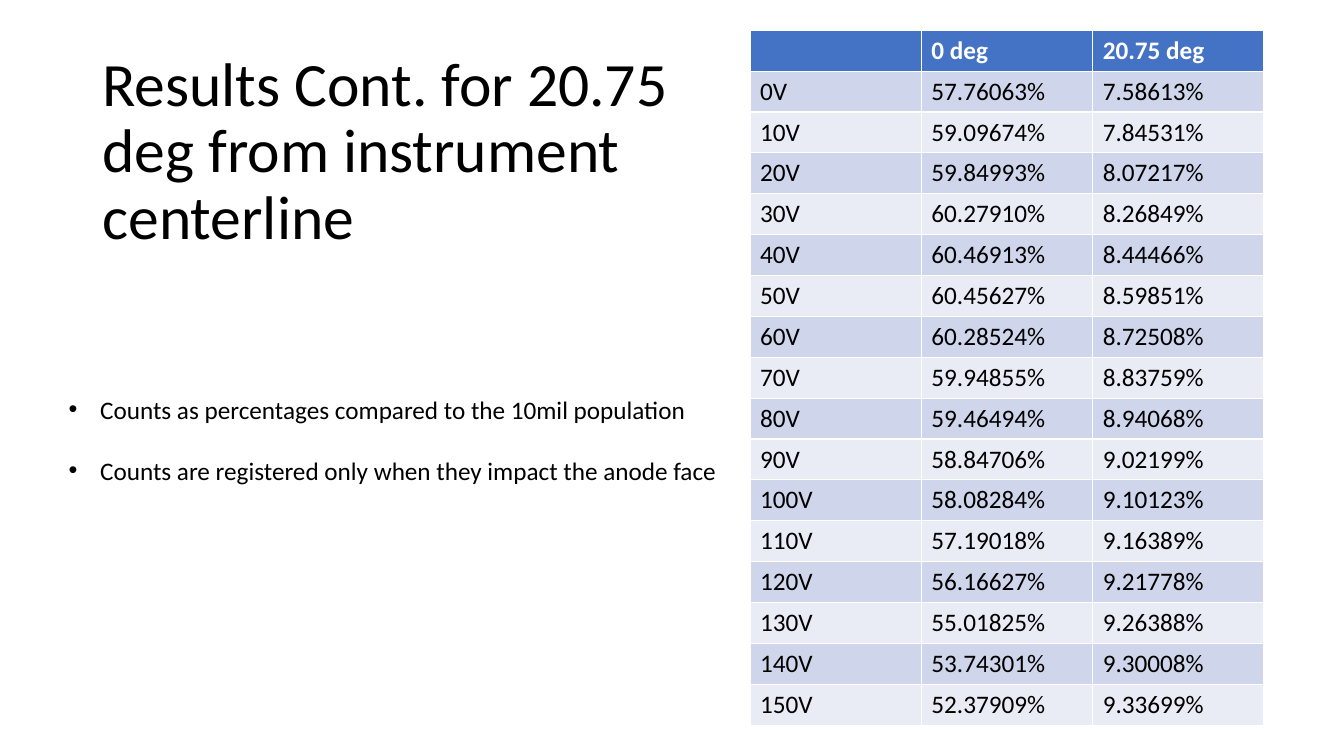
from pptx import Presentation
from pptx.dml.color import RGBColor
from pptx.enum.text import MSO_ANCHOR, MSO_AUTO_SIZE, PP_ALIGN
from pptx.util import Pt

LEFT = PP_ALIGN.LEFT
TOP, MIDDLE = MSO_ANCHOR.TOP, MSO_ANCHOR.MIDDLE
NO_AUTOFIT = MSO_AUTO_SIZE.NONE

BLACK = RGBColor(0x00, 0x00, 0x00)
WHITE = RGBColor(0xFF, 0xFF, 0xFF)
HEADER_BLUE = RGBColor(0x44, 0x72, 0xC4)
BANDS = (RGBColor(0xCF, 0xD5, 0xEA), RGBColor(0xE9, 0xEB, 0xF5))

TITLE_BOX = (66, 28.8, 423.6, 160.5)
NOTES_BOX = (41.8, 277.9, 483, 72.7)
TABLE_BOX = (535.7, 21.6, 367.2, 496.1)

TITLE = "Results Cont. for 20.75 deg from instrument centerline"
NOTES = (
    "Counts as percentages compared to the 10mil population",
    "Counts are registered only when they impact the anode face",
)
HEADER = ("", "0 deg", "20.75 deg")
VOLTAGE_STEP = 10
PERCENTAGES = (
    (57.76063, 7.58613), (59.09674, 7.84531), (59.84993, 8.07217),
    (60.27910, 8.26849), (60.46913, 8.44466), (60.45627, 8.59851),
    (60.28524, 8.72508), (59.94855, 8.83759), (59.46494, 8.94068),
    (58.84706, 9.02199), (58.08284, 9.10123), (57.19018, 9.16389),
    (56.16627, 9.21778), (55.01825, 9.26388), (53.74301, 9.30008),
    (52.37909, 9.33699),
)


def set_attributes(target, values):
    for name, value in values.items():
        setattr(target, name, value)


def format_font(font, size, color=BLACK, bold=False):
    set_attributes(font, {"name": "Calibri", "size": Pt(size), "bold": bold})
    font.color.rgb = color


def place(shape, box, anchor):
    """Move a placeholder to a box in points and fix its text frame."""
    lengths = map(Pt, box)
    set_attributes(shape, dict(zip(("left", "top", "width", "height"), lengths)))
    set_attributes(shape.text_frame, {
        "word_wrap": True, "auto_size": NO_AUTOFIT, "vertical_anchor": anchor,
    })


def add_title(slide, box):
    title = slide.shapes.title
    place(title, box, MIDDLE)
    title.text_frame.text = TITLE
    paragraph = title.text_frame.paragraphs[0]
    set_attributes(paragraph, {"alignment": LEFT, "line_spacing": 0.9})
    format_font(paragraph.runs[0].font, 44)


def add_notes(slide, box):
    body = slide.placeholders[1]
    place(body, box, TOP)
    body.text_frame.text = "\n".join(NOTES)
    for index, paragraph in enumerate(body.text_frame.paragraphs):
        set_attributes(paragraph, {
            "alignment": LEFT, "space_before": Pt(22 if index else 0),
        })
        properties = paragraph._p.get_or_add_pPr()
        properties.set("marL", str(Pt(22.5)))
        properties.set("indent", str(-Pt(22.5)))
        format_font(paragraph.runs[0].font, 18)


def add_results_table(slide, box):
    rows = [HEADER] + [
        (f"{index * VOLTAGE_STEP}V", *(f"{value:.5f}%" for value in pair))
        for index, pair in enumerate(PERCENTAGES)
    ]
    frame = slide.shapes.add_table(len(rows), len(HEADER), *map(Pt, box))
    table = frame.table
    for row_index, texts in enumerate(rows):
        is_header = row_index == 0
        fill_color = HEADER_BLUE if is_header else BANDS[(row_index - 1) % 2]
        text_color = WHITE if is_header else BLACK
        for column_index, text in enumerate(texts):
            cell = table.cell(row_index, column_index)
            cell.text = text
            cell.fill.solid()
            cell.fill.fore_color.rgb = fill_color
            format_font(cell.text_frame.paragraphs[0].font, 18)
            for run in cell.text_frame.paragraphs[0].runs:
                format_font(run.font, 18, text_color, is_header)


def main():
    presentation = Presentation()
    set_attributes(presentation, {"slide_width": Pt(960), "slide_height": Pt(540)})
    slide = presentation.slides.add_slide(presentation.slide_layouts[1])
    add_title(slide, TITLE_BOX)
    add_results_table(slide, TABLE_BOX)
    add_notes(slide, NOTES_BOX)
    presentation.save("out.pptx")


if __name__ == "__main__":
    main()
